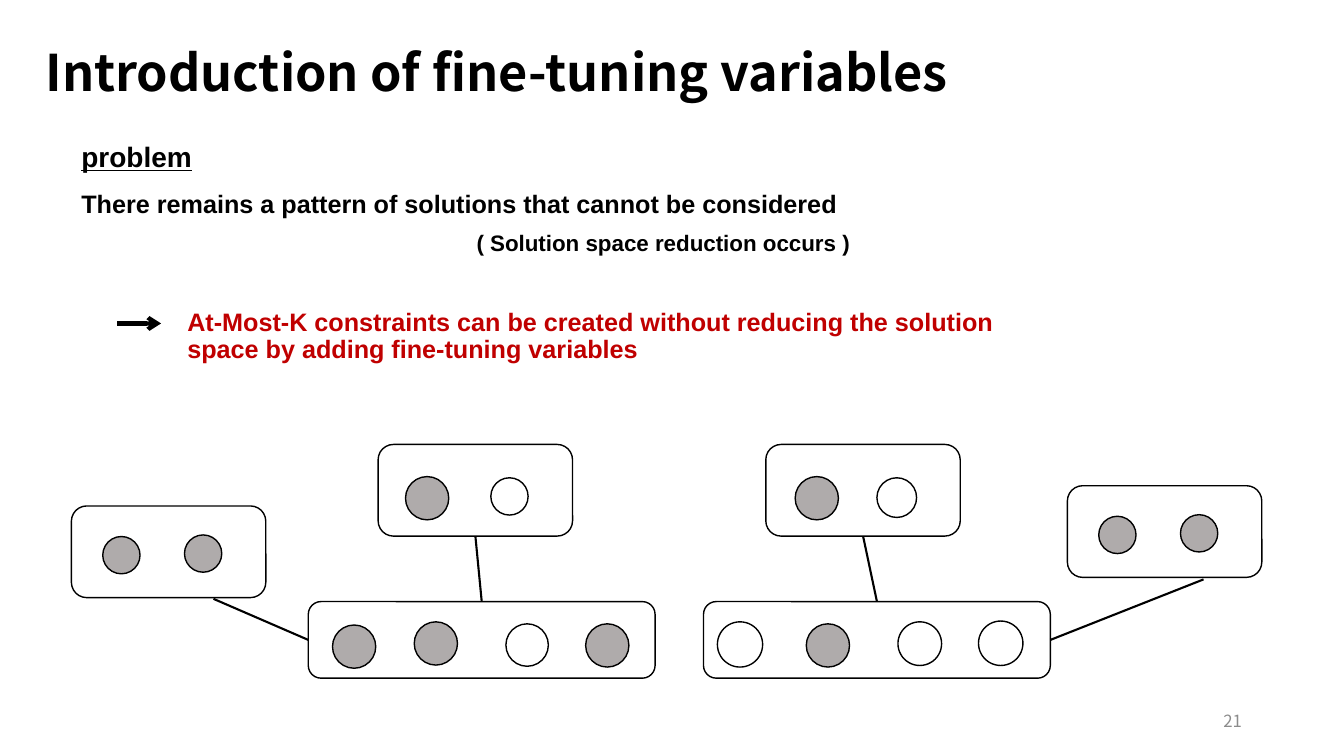
"""Build the slide on fine-tuning variables for At-Most-K constraints."""
from dataclasses import dataclass

import pptx
import pptx.dml.color
import pptx.enum.shapes
import pptx.enum.text
import pptx.oxml
import pptx.oxml.ns
import pptx.util

Cm = pptx.util.Cm
Pt = pptx.util.Pt
Shapes = pptx.enum.shapes.MSO_SHAPE
Align = pptx.enum.text.PP_ALIGN
Anchor = pptx.enum.text.MSO_ANCHOR

BLACK, RED, PAGE_GREY = "000000", "C00000", "8C8C8C"
ON, OFF = "AFABAB", "FFFFFF"
BODY_FONT, HEADING_FONT = "Arial", "Noto Sans CJK JP"
BOTTOM, LEFT, RIGHT, TOP = 2, 1, 3, 0


@dataclass(frozen=True)
class Label:
    text: str
    left: float
    top: float
    width: float
    height: float
    size: float
    color: str = BLACK
    font: str = BODY_FONT
    bold: bool = True
    underline: bool = False
    align: Align = Align.LEFT
    anchor: Anchor = Anchor.TOP
    line_spacing: float = 0.9


@dataclass(frozen=True)
class Variable:
    dx: float
    dy: float
    diameter: float
    color: str


@dataclass(frozen=True)
class Group:
    left: float
    top: float
    width: float
    height: float
    variables: tuple[Variable, ...]


HEADING = Label("Introduction of fine-tuning variables",
                0.89, 1.09, 27.79, 1.96, 36, font=HEADING_FONT)

LABELS = (
    Label("problem", 1.8, 3.48, 7.9, 1.09, 20, underline=True),
    Label("There remains a pattern of solutions that cannot be considered",
          1.8, 4.7, 20.83, 0.99, 18),
    Label("( Solution space reduction occurs )", 11.76, 5.72, 10.13, 1.09, 16),
    Label("At-Most-K constraints can be created without reducing the solution "
          "space by adding fine-tuning variables", 4.47, 7.67, 22, 1.63, 18, RED),
    Label("21", 23.93, 17.65, 7.62, 1.02, 12, PAGE_GREY, HEADING_FONT, False,
          align=Align.RIGHT, anchor=Anchor.MIDDLE, line_spacing=1.0),
)

OUTER_SIZE = (4.9, 2.31)
PARENT_SIZE = (8.74, 1.93)
PAIR_ON = (Variable(0.79, 0.77, 0.94, ON), Variable(2.85, 0.73, 0.94, ON))

FAR_LEFT = Group(1.8, 12.75, *OUTER_SIZE, PAIR_ON)
FAR_RIGHT = Group(26.9, 12.24, *OUTER_SIZE, PAIR_ON)
UPPER_LEFT = Group(9.53, 11.2, *OUTER_SIZE, (
    Variable(0.69, 0.81, 1.09, ON), Variable(2.84, 0.84, 0.94, OFF)))
UPPER_RIGHT = Group(19.3, 11.2, *OUTER_SIZE, (
    Variable(0.74, 0.81, 1.09, ON), Variable(2.8, 0.84, 1, OFF)))
PARENT_LEFT = Group(7.77, 15.16, *PARENT_SIZE, (
    Variable(0.61, 0.59, 1.09, ON), Variable(2.67, 0.51, 1.09, ON),
    Variable(4.98, 0.56, 1.07, OFF), Variable(6.99, 0.56, 1.09, ON)))
PARENT_RIGHT = Group(17.73, 15.16, *PARENT_SIZE, (
    Variable(0.35, 0.51, 1.14, OFF), Variable(2.59, 0.56, 1.09, ON),
    Variable(4.9, 0.51, 1.1, OFF), Variable(6.93, 0.49, 1.12, OFF)))


def rgb(color: str) -> pptx.dml.color.RGBColor:
    """Turn a hex string into a colour."""
    return pptx.dml.color.RGBColor.from_string(color)


def write_label(shape, label: Label) -> None:
    """Fill a title or text box with its formatted text."""
    shape.left, shape.top = Cm(label.left), Cm(label.top)
    shape.width, shape.height = Cm(label.width), Cm(label.height)
    frame = shape.text_frame
    frame.word_wrap = True
    frame.auto_size = pptx.enum.text.MSO_AUTO_SIZE.NONE
    frame.vertical_anchor = label.anchor
    paragraph = frame.paragraphs[0]
    paragraph.alignment = label.align
    paragraph.line_spacing = label.line_spacing
    run = paragraph.add_run()
    run.text = label.text
    run.font.name = label.font
    run.font.size = Pt(label.size)
    run.font.bold = label.bold
    run.font.underline = label.underline
    run.font.color.rgb = rgb(label.color)


def add_outlined(slide, kind: Shapes, left: float, top: float,
                 width: float, height: float, fill: str | None = None):
    """Add a thin black outline with an optional fill."""
    shape = slide.shapes.add_shape(kind, Cm(left), Cm(top), Cm(width), Cm(height))
    shape.shadow.inherit = False
    if fill is None:
        shape.fill.background()
    else:
        shape.fill.solid()
        shape.fill.fore_color.rgb = rgb(fill)
    shape.line.color.rgb = rgb(BLACK)
    shape.line.width = Pt(1)
    return shape


def add_group(slide, group: Group):
    """Draw a rounded box with its variables and return the box."""
    box = add_outlined(slide, Shapes.ROUNDED_RECTANGLE,
                       group.left, group.top, group.width, group.height)
    for variable in group.variables:
        add_outlined(slide, Shapes.OVAL, group.left + variable.dx, group.top + variable.dy,
                     variable.diameter, variable.diameter, variable.color)
    return box


def add_line(slide, start: tuple[float, float], end: tuple[float, float],
             width: float = 1.5):
    """Add a straight black line without a shadow."""
    line = slide.shapes.add_connector(
        pptx.enum.shapes.MSO_CONNECTOR.STRAIGHT, *map(Cm, start), *map(Cm, end))
    line.line.color.rgb = rgb(BLACK)
    line.line.width = Pt(width)
    pptx.oxml.ns.qn("a:effectLst")
    line._element.spPr.append(pptx.oxml.parse_xml(
        f'<a:effectLst {pptx.oxml.ns.nsdecls("a")}/>'))
    return line


def add_arrow(slide, start: tuple[float, float], end: tuple[float, float]) -> None:
    """Add a thick line with an open arrowhead at its end."""
    arrow = add_line(slide, start, end, 3)
    arrow.line._get_or_add_ln().append(pptx.oxml.parse_xml(
        f'<a:tailEnd {pptx.oxml.ns.nsdecls("a")} type="arrow"/>'))


def main() -> None:
    """Create and save the presentation."""
    deck = pptx.Presentation()
    deck.slide_width, deck.slide_height = Cm(33.87), Cm(19.05)
    slide = deck.slides.add_slide(deck.slide_layouts[5])
    write_label(slide.shapes.title, HEADING)
    for label in LABELS:
        write_label(slide.shapes.add_textbox(0, 0, 0, 0), label)
    add_arrow(slide, (2.95, 8.15), (4.06, 8.15))

    for upper, parent in ((UPPER_LEFT, PARENT_LEFT), (UPPER_RIGHT, PARENT_RIGHT)):
        upper_box, parent_box = add_group(slide, upper), add_group(slide, parent)
        branch = add_line(slide, (0, 0), (0, 0))
        branch.begin_connect(upper_box, BOTTOM)
        branch.end_connect(parent_box, TOP)
        outer, start, side = ((FAR_LEFT, (5.38, 15.09), LEFT) if parent is PARENT_LEFT
                              else (FAR_RIGHT, (30.33, 14.6), RIGHT))
        add_group(slide, outer)
        add_line(slide, start, start).end_connect(parent_box, side)

    deck.save("out.pptx")


if __name__ == "__main__":
    main()
